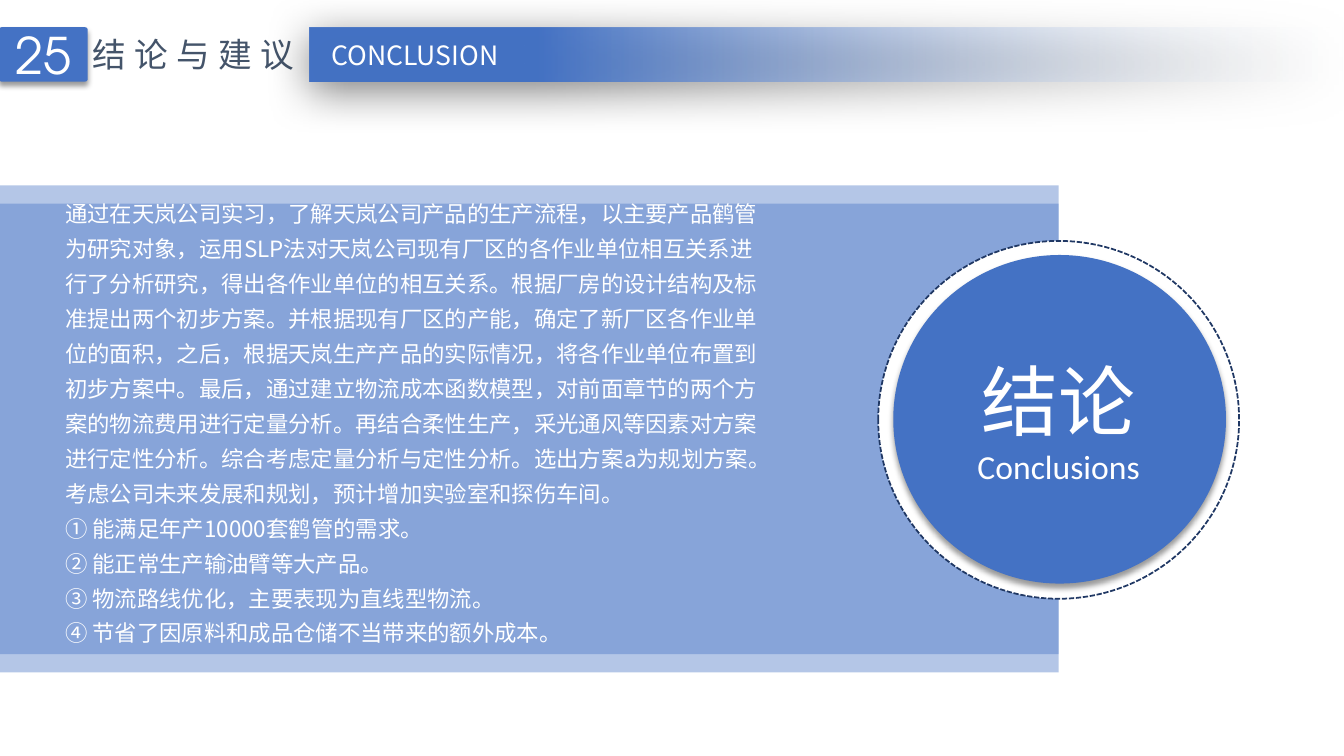
from lxml import etree
from pptx import Presentation
from pptx.dml.color import RGBColor
from pptx.enum import dml, shapes, text
from pptx.oxml import ns
from pptx.util import Inches, Pt

BLUE, WHITE, NAVY, SLATE = "4472C4", "FFFFFF", "203864", "44546A"
SANS, LATIN, ROUND = "Noto Sans CJK SC", "Calibri", "TeX Gyre Adventor"
KIND = shapes.MSO_SHAPE
LEFT, MID = text.PP_ALIGN.LEFT, text.PP_ALIGN.CENTER

STUDY = (
    "通过在天岚公司实习，了解天岚公司产品的生产流程，以主要产品鹤管为研究对象，"
    "运用SLP法对天岚公司现有厂区的各作业单位相互关系进行了分析研究，"
    "得出各作业单位的相互关系。根据厂房的设计结构及标准提出两个初步方案。"
    "并根据现有厂区的产能，确定了新厂区各作业单位的面积，之后，"
    "根据天岚生产产品的实际情况，将各作业单位布置到初步方案中。最后，"
    "通过建立物流成本函数模型，对前面章节的两个方案的物流费用进行定量分析。"
    "再结合柔性生产，采光通风等因素对方案进行定性分析。"
    "综合考虑定量分析与定性分析。选出方案a为规划方案。"
    "考虑公司未来发展和规划，预计增加实验室和探伤车间。"
)
GAINS = [
    "① 能满足年产10000套鹤管的需求。",
    "② 能正常生产输油臂等大产品。",
    "③ 物流路线优化，主要表现为直线型物流。",
    "④ 节省了因原料和成品仓储不当带来的额外成本。",
]


def color(code):
    return RGBColor.from_string(code)


def add(node, tag, **attrs):
    return etree.SubElement(node, ns.qn(tag), {k: str(v) for k, v in attrs.items()})


def fade(node, share):
    """Set the opacity, in percent, of the first colour inside node."""
    add(next(node.iter(ns.qn("a:srgbClr"))), "a:alpha", val=share * 1000)


def write(frame, lines, size=16, font=SANS, ink=WHITE, align=LEFT,
          gap=1.0, track=0, wrap=True, inset=(0.1, 0.05), grow=True,
          anchor=text.MSO_ANCHOR.TOP):
    """Fill a text frame; a line is a string or a (string, size, font) tuple."""
    frame.word_wrap = wrap
    frame.vertical_anchor = anchor
    sizing = text.MSO_AUTO_SIZE
    frame.auto_size = sizing.SHAPE_TO_FIT_TEXT if grow else sizing.NONE
    frame.margin_left = frame.margin_right = Inches(inset[0])
    frame.margin_top = frame.margin_bottom = Inches(inset[1])
    for i, line in enumerate(lines):
        words, pts, face = (line, size, font) if isinstance(line, str) else line
        para = frame.add_paragraph() if i else frame.paragraphs[0]
        para.alignment, para.line_spacing = align, gap
        run = para.add_run()
        run.text = words
        run.font.size, run.font.name = Pt(pts), face
        run.font.color.rgb = color(ink)
        props = run.font._element
        add(props, "a:ea", typeface=face)
        if track:
            props.set("spc", str(track * 100))


class Page:
    def __init__(self):
        self.deck = Presentation()
        self.deck.slide_width, self.deck.slide_height = Inches(13.33), Inches(7.5)
        self.slide = self.deck.slides.add_slide(self.deck.slide_layouts[5])

    def title(self, box, words, **style):
        head = self.slide.shapes.title
        head.left, head.top, head.width, head.height = map(Inches, box)
        write(head.text_frame, [words], **style)

    def shape(self, kind, box, fill=BLUE, alpha=None, round=None, shade=None):
        item = self.slide.shapes.add_shape(kind, *map(Inches, box))
        item.shadow.inherit = False
        item.fill.solid()
        item.fill.fore_color.rgb = color(fill)
        item.line.fill.background()
        if alpha:
            fade(item._element.spPr, alpha)
        if round is not None:
            item.adjustments[0] = round
        if shade:
            self.shade(item, *shade)
        return item

    def shade(self, item, alpha, blur, dist, angle):
        """Give a shape a black outer shadow."""
        effects = item._element.spPr.find(ns.qn("a:effectLst"))
        outer = add(effects, "a:outerShdw", blurRad=Pt(blur), dist=Pt(dist),
                    dir=angle * 60000, algn="t", rotWithShape=0)
        add(outer, "a:srgbClr", val="000000")
        fade(outer, alpha)

    def blend(self, item, start, end, stop):
        """Run a gradient from a clear start at the right to a solid end."""
        item.fill.gradient()
        item.fill.gradient_angle = 180
        first, last = item.fill.gradient_stops
        first.color.rgb, last.color.rgb = color(start), color(end)
        last.position = stop
        fade(item._element.spPr, 0)

    def text(self, box, lines, **style):
        item = self.slide.shapes.add_textbox(*map(Inches, box))
        write(item.text_frame, lines, **style)


def main():
    page = Page()
    soft = (40, 4, 3, 90)

    page.title((0.82, 0.29, 2.31, 0.5), "结论与建议", size=24, ink=SLATE,
               track=6, wrap=False)

    for top in (2.02, 1.84):
        page.shape(KIND.ROUNDED_RECTANGLE, (0, top, 10.5, 4.65), alpha=40, round=0)

    ring = page.shape(KIND.OVAL, (8.71, 2.39, 3.58, 3.55), fill=WHITE)
    ring.line.color.rgb = color(NAVY)
    ring.line.width = Pt(1.25)
    ring.line.dash_style = dml.MSO_LINE.SQUARE_DOT
    page.shape(KIND.OVAL, (8.86, 2.53, 3.3, 3.26), shade=soft)
    page.text((9.48, 3.51, 2.04, 1.51),
              [("结论", 55, SANS), ("Conclusions", 24, LATIN)],
              align=MID, inset=(0, 0))

    page.text((0.55, 1.86, 7.2, 4.62), [STUDY, *GAINS], gap=1.3)

    bar = page.shape(KIND.RECTANGLE, (3.07, 0.27, 10.26, 0.54),
                     shade=(50, 31, 6, 97))
    page.blend(bar, "F7FAFD", BLUE, 0.78)
    badge = page.shape(KIND.ROUNDED_RECTANGLE, (-0.01, 0.27, 0.88, 0.54),
                       round=0.05, shade=soft)
    write(badge.text_frame, ["25"], size=36, font=ROUND, align=MID, grow=False,
          anchor=text.MSO_ANCHOR.MIDDLE)
    page.text((3.12, 0.34, 1.99, 0.42), ["CONCLUSION"], size=19, align=MID,
              wrap=False)

    page.deck.save("out.pptx")


if __name__ == "__main__":
    main()
